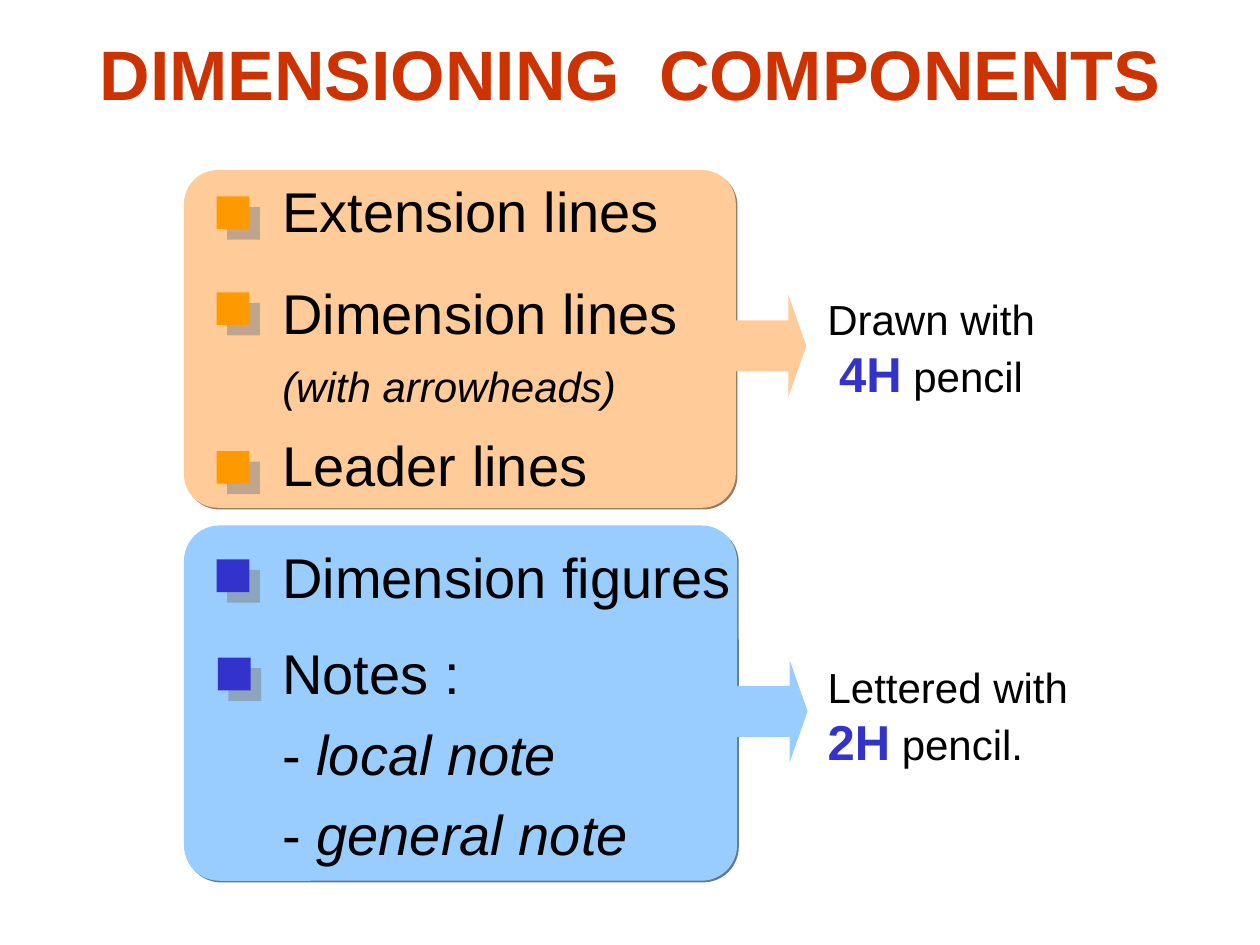
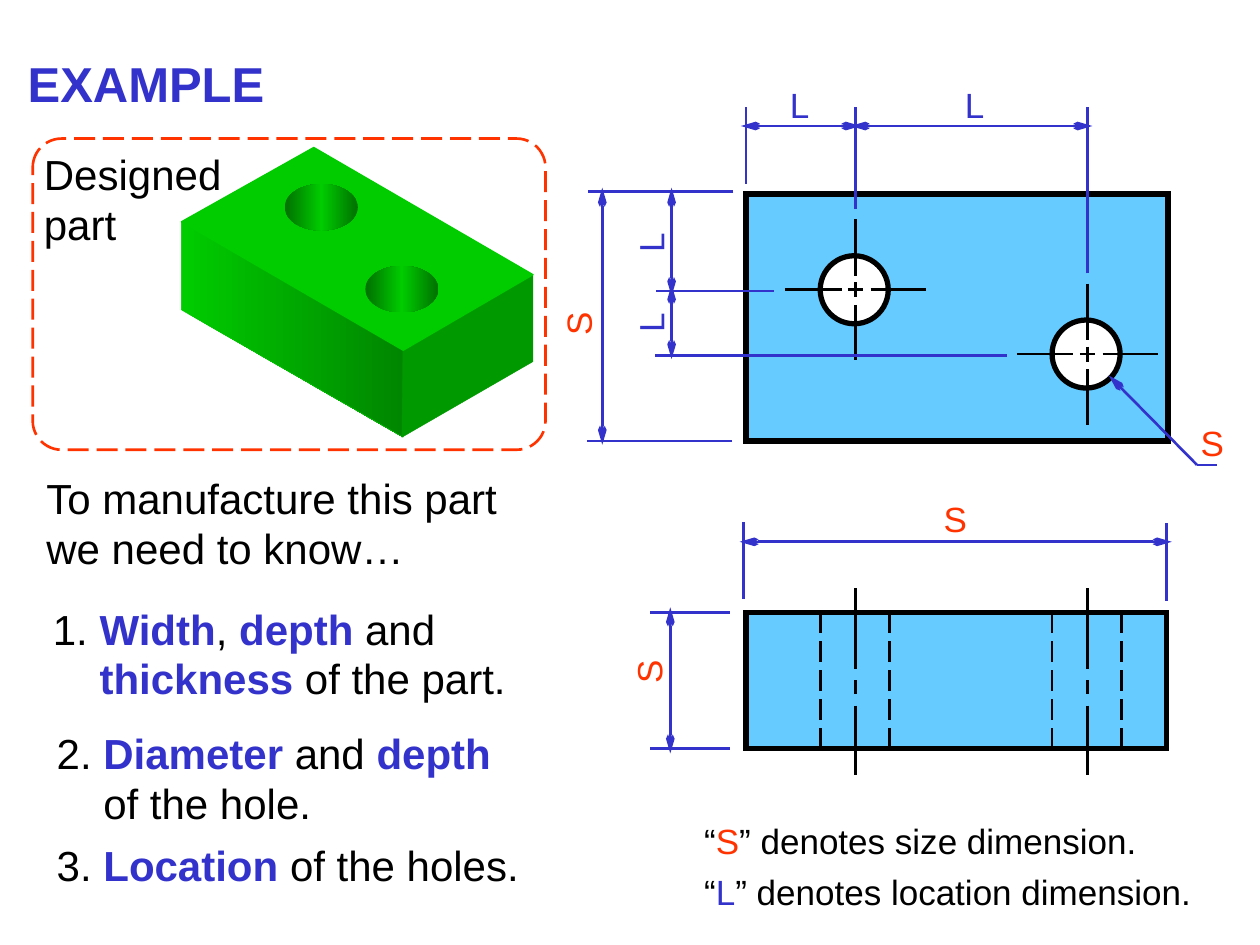
from lxml import etree
from pptx import Presentation
from pptx.dml.color import RGBColor
from pptx.enum import dml, shapes, text
from pptx.oxml.ns import qn
from pptx.util import Pt

PX = 9144  # one px is a hundredth of an inch
FONT = "Arial"
BLACK, WHITE, BLUE, RED = "000000", "FFFFFF", "3333CC", "FF3300"
PEACH, SKY, PLATE, GREEN = "FFCC99", "99CCFF", "66CCFF", "00CC00"
rgb = RGBColor.from_string
SHAPE = shapes.MSO_SHAPE
LEFT, CENTER = text.PP_ALIGN.LEFT, text.PP_ALIGN.CENTER

# Run styles: colour, size (None takes the size of the box), bold, italic
STYLES = {
    "plain": (BLACK, None, False, False),
    "headline": ("CC3300", 40, True, False),
    "heading": (BLUE, 28, True, False),
    "strong": (BLUE, None, True, False),
    "italic": (BLACK, None, False, True),
    "remark": (BLACK, 24, False, True),
    "size": (RED, None, False, False),
    "location": (BLUE, None, False, False),
}


def write(shape, at, paragraphs, size=24, align=LEFT, spacing=()):
    """Place a text shape and fill it; spacing gives (line, before) in points."""
    shape.left, shape.top, shape.width, shape.height = [n * PX for n in at]
    frame = shape.text_frame
    frame.auto_size = text.MSO_AUTO_SIZE.NONE
    frame.word_wrap = True
    for index, runs in enumerate(paragraphs):
        paragraph = frame.paragraphs[0] if index == 0 else frame.add_paragraph()
        paragraph.alignment = align
        if spacing:
            properties = paragraph._p.get_or_add_pPr()
            properties.set("marL", "0")
            properties.set("indent", "0")
            etree.SubElement(properties, qn("a:buNone"))
            line, before = spacing[index]
            paragraph.line_spacing, paragraph.space_before = Pt(line), Pt(before)
        for content, style in runs:
            if content == "\n":
                paragraph.add_line_break()
                continue
            color, own_size, bold, italic = STYLES[style]
            run = paragraph.add_run()
            run.text = content
            run.font.name, run.font.size = FONT, Pt(own_size or size)
            run.font.bold, run.font.italic = bold, italic
            run.font.color.rgb = rgb(color)
    return frame


def draw(slide, kind, at, fill=None, line=None, weight=3, corner=None, shadow=None):
    """Add a preset shape; shadow gives (colour, opacity in %, distance in pt)."""
    shape = slide.shapes.add_shape(kind, *[n * PX for n in at])
    shape.shadow.inherit = False
    if fill:
        shape.fill.solid()
        shape.fill.fore_color.rgb = rgb(fill)
    else:
        shape.fill.background()
    if line:
        shape.line.color.rgb = rgb(line)
        shape.line.width = Pt(weight)
        etree.SubElement(shape._element.spPr.find(qn("a:ln")), qn("a:miter"), lim="800000")
    else:
        shape.line.fill.background()
    if corner:
        shape.adjustments[0] = corner
    if shadow:
        color, opacity, distance = shadow
        effects = shape._element.spPr.find(qn("a:effectLst"))
        outer = etree.SubElement(effects, qn("a:outerShdw"), dist=str(Pt(distance)),
                                 dir="2700000", algn="ctr", rotWithShape="0")
        tint = etree.SubElement(outer, qn("a:srgbClr"), val=color)
        etree.SubElement(tint, qn("a:alpha"), val=str(opacity * 1000))
    return shape


presentation = Presentation()
presentation.slide_width, presentation.slide_height = 1000 * PX, 750 * PX

# ---- Slide 1: dimensioning components ----
slide = presentation.slides.add_slide(presentation.slide_layouts[3])
title, line_list, figure_list = slide.placeholders

# Panels with their arrows
panels = [
    ((146, 417, 439, 282), SKY, "5B7998", (584, 524, 57, 81)),
    ((146, 135, 438, 268), PEACH, "98795B", (583, 234, 57, 81)),
]
for panel_at, color, shade, arrow_at in panels:
    draw(slide, SHAPE.ROUNDED_RECTANGLE, panel_at, color, corner=0.1,
         shadow=(shade, 100, 1.4))
    arrow = draw(slide, SHAPE.RIGHT_ARROW, arrow_at, color)
    arrow.adjustments[0], arrow.adjustments[1] = 0.5, 0.25

# Square markers
for x, y, color in [(172, 156, "FF9900"), (172, 232, "FF9900"), (172, 358, "FF9900"),
                    (172, 444, BLUE), (173, 522, BLUE)]:
    draw(slide, SHAPE.RECTANGLE, (x, y, 26, 26), color, shadow=("808080", 50, 8.5))

# Title, with a wide gap between its words
frame = write(title, (0, 19, 1000, 77),
              [[("DIMENSIONING", "headline"), (" ", "headline"),
                ("COMPONENTS", "headline")]], align=CENTER)
frame.paragraphs[0].runs[1]._r.get_or_add_rPr().set("spc", "1100")

# Lists, brought in front of the panels
write(line_list, (214, 136, 350, 266),
      [[("Extension lines", "plain")],
       [("Dimension lines", "plain")],
       [("(with arrowheads)", "remark")],
       [("Leader lines", "plain")]],
      size=32, spacing=[(38, 0), (38, 20), (29, 8), (38, 12)])
write(figure_list, (214, 426, 477, 270),
      [[("Dimension figures", "plain")],
       [("Notes :", "plain")],
       [("- ", "plain"), ("local note", "italic")],
       [("- ", "plain"), ("general note", "italic")]],
      size=32, spacing=[(38, 0), (38, 17), (38, 8), (38, 8)])
for list_shape in (line_list, figure_list):
    list_shape.text_frame.vertical_anchor = text.MSO_ANCHOR.TOP
    slide.shapes._spTree.append(list_shape._element)

# Pencil grades
for at, action, grade, ending, align in [
    ((639, 228, 200, 97), "Drawn with", "4H", "pencil", CENTER),
    ((647, 520, 230, 97), "Lettered with", "2H", "pencil.", LEFT),
]:
    write(slide.shapes.add_textbox(0, 0, 0, 0), at,
          [[(action, "plain")], [(grade, "heading"), (" " + ending, "plain")]],
          align=align)

# ---- Slide 2: example ----
slide = presentation.slides.add_slide(presentation.slide_layouts[1])
title, needs = slide.placeholders
write(title, (12, 37, 230, 57), [[("EXAMPLE", "heading")]])

# What has to be known about the part
frame = write(
    needs, (32, 474, 430, 240),
    [[("1. ", "plain"), ("Width", "strong"), (", ", "plain"), ("depth", "strong"),
      (" and", "plain"), ("\n", "plain"), ("thickness", "strong"),
      (" of the part.", "plain")],
     [("2. ", "plain"), ("Diameter ", "strong"), ("and", "plain"),
      (" depth", "strong"), ("\n", "plain"), ("of the hole.", "plain")],
     [("3. ", "plain"), ("Location", "strong"), (" of the holes.", "plain")]],
    spacing=[(28.5, 0), (28.5, 14), (28.5, 7)])
frame.vertical_anchor = text.MSO_ANCHOR.TOP
for paragraph, margin in zip(frame.paragraphs, (37, 40, 40)):
    paragraph._p.pPr.set("marL", str(margin * PX))
    paragraph._p.pPr.set("indent", str(-37 * PX))

# Frame and faces of the designed part
border = draw(slide, SHAPE.ROUNDED_RECTANGLE, (26, 110, 407, 247), line=RED,
              weight=1.5, corner=0.093)
border.line.dash_style = dml.MSO_LINE.LONG_DASH
faces = []
for points, color, weight in [
    ([(144, 176), (144, 246), (320, 347), (320, 277)], GREEN, 0.25),
    ([(320, 278), (423, 218), (423, 287), (319, 347)], "009900", 0.25),
    ([(144, 176), (320, 278), (423, 218), (249, 117)], GREEN, 0.75),
]:
    builder = slide.shapes.build_freeform(*points[0], scale=PX)
    builder.add_line_segments(points[1:], close=True)
    face = builder.convert_to_shape()
    face.shadow.inherit = False
    face.fill.solid()
    face.fill.fore_color.rgb = rgb(color)
    face.line.color.rgb = rgb(color)
    face.line.width = Pt(weight)
    faces.append(face)
bores = [draw(slide, SHAPE.OVAL, (x, y, 58, 37), GREEN)
         for x, y in [(226, 146), (290, 211)]]

# Gradients, from left to right
shades = [(faces[0], [GREEN, "008600"])]
shades += [(bore, ["007100", GREEN, "007100"]) for bore in bores]
for shape, colors in shades:
    shape.fill.gradient()
    shape.fill.gradient_angle = 0
    stops = shape._element.spPr.find(".//" + qn("a:gsLst"))
    stops.clear()
    for index, color in enumerate(colors):
        position = 100000 * index // (len(colors) - 1)
        stop = etree.SubElement(stops, qn("a:gs"), pos=str(position))
        etree.SubElement(stop, qn("a:srgbClr"), val=color)

# Top view and front view
draw(slide, SHAPE.RECTANGLE, (592, 154, 335, 196), PLATE, BLACK)
draw(slide, SHAPE.RECTANGLE, (592, 486, 334, 108), PLATE, BLACK)

# Lines: from x, from y, to x, to y, colour, dashed, heads
lines = []
for x, y in [(679, 230), (863, 281)]:
    draw(slide, SHAPE.OVAL, (x - 28, y - 27, 54, 54), WHITE, BLACK)
    for start, end in [(-56, -11), (-6, 6), (12, 56)]:
        lines.append((x, y + start, x, y + end, BLACK, False, ""))
        lines.append((x + start, y, x + end, y, BLACK, False, ""))
    for edge in (x - 28, x + 27):
        lines.append((edge, 486, edge, 594, BLACK, True, ""))
    for start, end in [(467, 531), (540, 551), (560, 615)]:
        lines.append((x, start, x, end, BLACK, False, ""))

extension_lines = [
    (592, 146, 592, 85), (679, 166, 679, 85), (863, 217, 863, 85),
    (614, 231, 521, 231), (799, 282, 520, 282), (582, 152, 467, 152),
    (581, 350, 466, 350), (590, 475, 590, 414), (926, 477, 926, 415),
    (579, 486, 516, 486), (579, 594, 516, 594), (950, 369, 966, 369),
]
dimension_lines = [
    (683, 100, 588, 100), (867, 100, 675, 100), (533, 235, 533, 149),
    (533, 285, 533, 226), (478, 353, 478, 149), (930, 430, 587, 430),
    (532, 482, 532, 598),
]
lines += [(*ends, BLUE, False, "") for ends in extension_lines]
lines += [(*ends, BLUE, False, "head tail") for ends in dimension_lines]
lines.append((880, 298, 950, 369, BLUE, False, "head"))

for x1, y1, x2, y2, color, dashed, heads in lines:
    connector = slide.shapes.add_connector(shapes.MSO_CONNECTOR.STRAIGHT,
                                           x1 * PX, y1 * PX, x2 * PX, y2 * PX)
    etree.SubElement(connector._element.spPr, qn("a:effectLst"))
    connector.line.color.rgb = rgb(color)
    connector.line.width = Pt(1.5)
    if dashed:
        connector.line.dash_style = dml.MSO_LINE.LONG_DASH
    for end in heads.split():
        etree.SubElement(connector.line._get_or_add_ln(), qn(f"a:{end}End"),
                         type="arrow", w="sm", len="lg")

# Dimension letters: S for size, L for location
for x, y, letter, turn in [
    (617, 61, "L", 0), (756, 61, "L", 0), (499, 171, "L", 270), (499, 234, "L", 270),
    (440, 235, "S", 270), (739, 390, "S", 0), (496, 511, "S", 270), (943, 330, "S", 0),
]:
    label = slide.shapes.add_textbox(0, 0, 0, 0)
    width, style = (38, "size") if letter == "S" else (35, "location")
    write(label, (x, y, width, 44), [[(letter, style)]], size=20)
    label.rotation = turn

# Captions
for at, captions in [
    ((25, 113, 165, 90), ["Designed", "part"]),
    ((27, 370, 433, 90), ["To manufacture this part", "we need to know…"]),
]:
    write(slide.shapes.add_textbox(0, 0, 0, 0), at,
          [[(caption, "plain")] for caption in captions])

# Legend
frame = write(slide.shapes.add_textbox(0, 0, 0, 0), (549, 639, 430, 90),
              [[("“", "plain"), (letter, meaning),
                (f"” denotes {meaning} dimension.", "plain")]
               for letter, meaning in [("S", "size"), ("L", "location")]], size=20)
for paragraph in frame.paragraphs:
    paragraph.line_spacing = 1.2

presentation.save("out.pptx")
